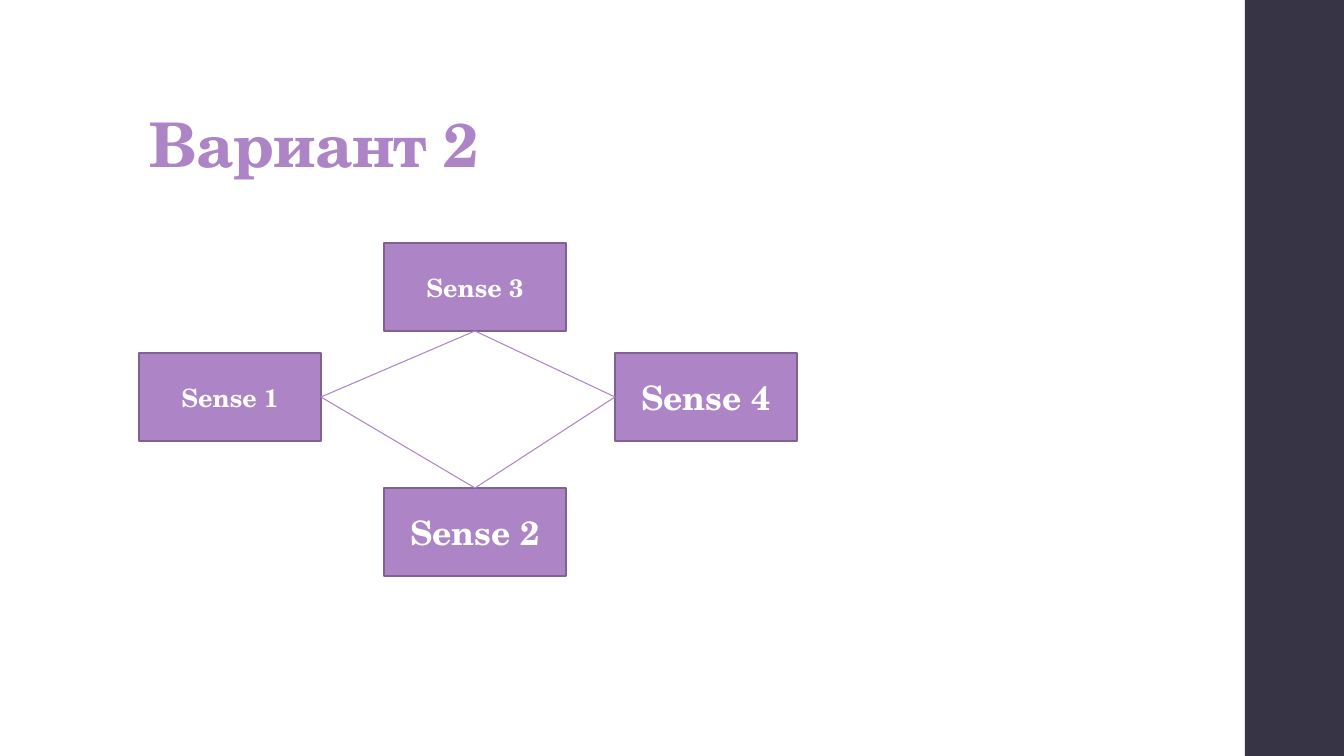
from lxml.etree import SubElement
from pptx import Presentation
from pptx.dml.color import RGBColor
from pptx.enum.shapes import MSO_CONNECTOR, MSO_SHAPE
from pptx.enum.text import MSO_ANCHOR, MSO_AUTO_SIZE, PP_ALIGN
from pptx.oxml.ns import qn
from pptx.util import Emu, Pt

TITLE = "Вариант 2"
# name: (left, top, font size)
SENSES = {
    "Sense 1": (139, 353, 18),
    "Sense 2": (384, 488, 24),
    "Sense 4": (615, 353, 24),
    "Sense 3": (384, 243, 18),
}
TOP, LEFT, BOTTOM, RIGHT = range(4)  # connection sites of a rectangle
LINKS = [
    ("Sense 1", RIGHT, "Sense 3", BOTTOM),
    ("Sense 3", BOTTOM, "Sense 4", LEFT),
    ("Sense 4", LEFT, "Sense 2", TOP),
    ("Sense 1", RIGHT, "Sense 2", TOP),
]
SLIDE_WIDTH, SLIDE_HEIGHT = 1344, 756
SIDEBAR_WIDTH = 99
TITLE_BOX = (139, 29, 1068, 157)
BOX_WIDTH, BOX_HEIGHT = 182, 88
FONT = "TeX Gyre Schola"
PURPLE, OUTLINE, DARK, WHITE = "AD84C6", "806292", "373545", "FFFFFF"


def px(length):
    return Emu(round(length * 12192000 / SLIDE_WIDTH))


def color(value):
    return RGBColor.from_string(value)


def write(shape, text, *, size, fill, align, anchor):
    frame = shape.text_frame
    frame.word_wrap = True
    frame.auto_size = MSO_AUTO_SIZE.NONE
    frame.vertical_anchor = anchor
    paragraph = frame.paragraphs[0]
    paragraph.alignment = align
    run = paragraph.add_run()
    run.text = text
    run.font.name = FONT
    run.font.size = Pt(size)
    run.font.bold = True
    run.font.color.rgb = color(fill)
    return paragraph


def add_box(slide, left, top, width, height, *, fill, line=None):
    shape = slide.shapes.add_shape(
        MSO_SHAPE.RECTANGLE, px(left), px(top), px(width), px(height))
    shape.shadow.inherit = False
    shape.fill.solid()
    shape.fill.fore_color.rgb = color(fill)
    if line:
        shape.line.color.rgb = color(line)
        shape.line.width = Pt(1.1)
    else:
        shape.line.fill.background()
    return shape


def add_title(slide):
    title = slide.shapes.title
    title.left, title.top, title.width, title.height = map(px, TITLE_BOX)
    paragraph = write(title, TITLE, size=44, fill=PURPLE,
                      align=PP_ALIGN.LEFT, anchor=MSO_ANCHOR.BOTTOM)
    paragraph.line_spacing = 0.9
    paragraph.runs[0].font._element.set("spc", "-50")
    frame = title.text_frame
    frame.margin_left = frame.margin_right = px(10)
    frame.margin_top, frame.margin_bottom = px(3), px(5)


def add_link(slide, start, start_site, end, end_site):
    connector = slide.shapes.add_connector(MSO_CONNECTOR.STRAIGHT, 0, 0, 0, 0)
    connector.begin_connect(start, start_site)
    connector.end_connect(end, end_site)
    connector.line.color.rgb = color(PURPLE)
    connector.line.width = Pt(0.75)
    SubElement(connector._element.spPr, qn("a:effectLst"))


def main():
    presentation = Presentation()
    presentation.slide_width = px(SLIDE_WIDTH)
    presentation.slide_height = px(SLIDE_HEIGHT)
    slide = presentation.slides.add_slide(presentation.slide_layouts[5])
    slide.background.fill.solid()
    slide.background.fill.fore_color.rgb = color(WHITE)

    add_box(slide, SLIDE_WIDTH - SIDEBAR_WIDTH, 0, SIDEBAR_WIDTH, SLIDE_HEIGHT, fill=DARK)
    add_title(slide)
    boxes = {}
    for name, (left, top, size) in SENSES.items():
        boxes[name] = add_box(slide, left, top, BOX_WIDTH, BOX_HEIGHT,
                              fill=PURPLE, line=OUTLINE)
        write(boxes[name], name, size=size, fill=WHITE,
              align=PP_ALIGN.CENTER, anchor=MSO_ANCHOR.MIDDLE)
    for start, start_site, end, end_site in LINKS:
        add_link(slide, boxes[start], start_site, boxes[end], end_site)
    presentation.save("out.pptx")


if __name__ == "__main__":
    main()
